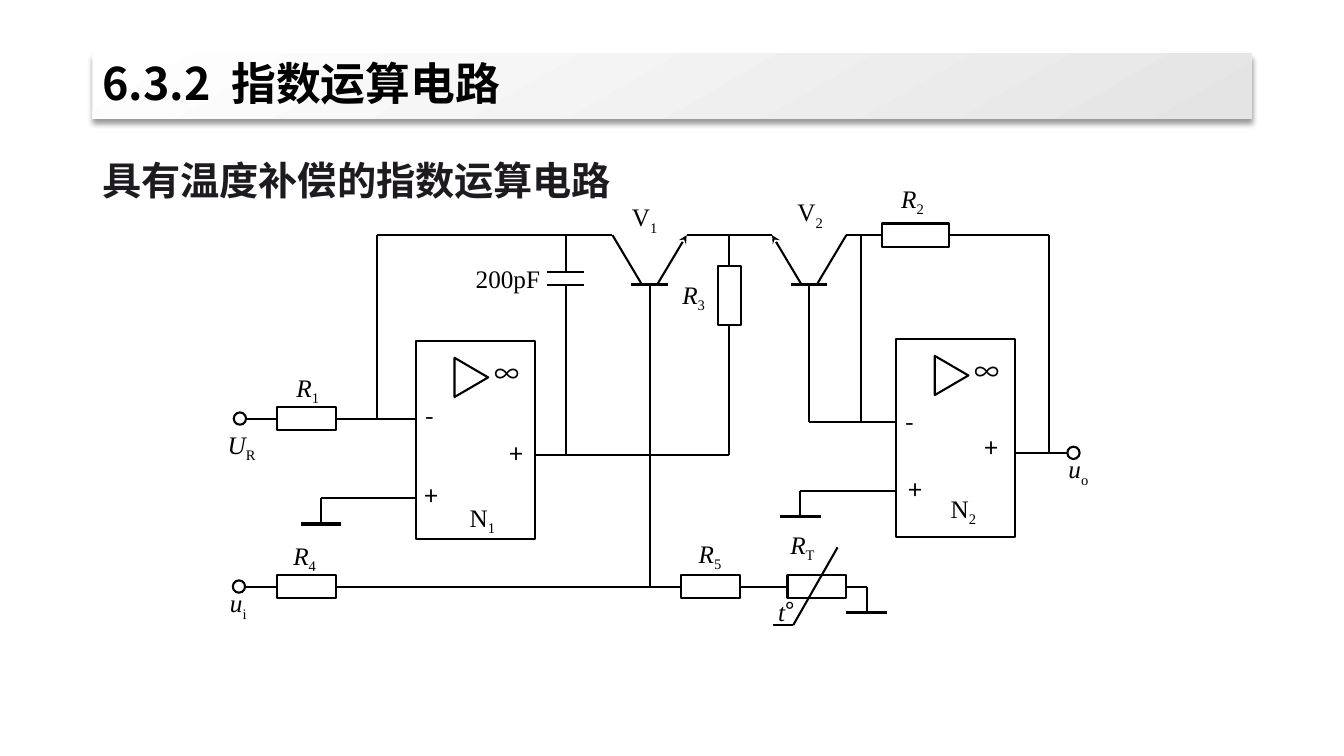
"""Build a slide showing a temperature-compensated exponential amplifier circuit."""
from dataclasses import dataclass
from typing import Optional

from lxml import etree
from pptx import Presentation
from pptx.dml.color import RGBColor
from pptx.enum.shapes import MSO_CONNECTOR, MSO_SHAPE
from pptx.enum.text import MSO_ANCHOR, PP_ALIGN
from pptx.oxml.ns import qn
from pptx.util import Pt

RECTANGLE, OVAL, TRIANGLE = MSO_SHAPE.RECTANGLE, MSO_SHAPE.OVAL, MSO_SHAPE.ISOSCELES_TRIANGLE
STRAIGHT = MSO_CONNECTOR.STRAIGHT
MIDDLE, LEFT, JUSTIFY = MSO_ANCHOR.MIDDLE, PP_ALIGN.LEFT, PP_ALIGN.JUSTIFY
TOP_SIDE, LEFT_SIDE, BOTTOM_SIDE, RIGHT_SIDE = range(4)
SANS, SERIF = "Noto Sans CJK SC", "Times New Roman"
COLORS = {"ink": "000000", "paper": "FFFFFF", "heading": "1D1B1F", "bar_end": "E4E4E4"}

LINE, GROUND_LINE = 1.5, 2.5
TOP_RAIL, INPUT_RAIL, SIGNAL_RAIL = 168, 299, 419
BASE_Y, MINUS_Y, OUTPUT_1_Y, OUTPUT_2_Y = 203.2, 301.5, 324.8, 323.5
PLATE_HALF, FOOT_HALF, LEG_HALF = 13, 5.5, 26.5
V1_X, V2_X, CAPACITOR_X, R3_X = 464, 578, 404, 521
AMP_WIDTH, AMP_HEIGHT = 85, 141.5
GROUND_HALF, GROUND_DROP = 14.4, 18.5


@dataclass
class Label:
    x: float
    y: float
    stem: str
    tail: str = ""
    width: float = 23
    height: float = 26
    italic: bool = False
    opaque: bool = False
    font: str = SERIF
    tail_font: Optional[str] = None


@dataclass
class Resistor:
    name: str
    x: float
    y: float
    width: float = 42
    height: float = 16.6


@dataclass
class Joint:
    name: str
    side: int


@dataclass
class Wire:
    x1: float
    y1: float
    x2: float
    y2: float
    start: Optional[Joint] = None
    end: Optional[Joint] = None
    weight: float = LINE
    arrow: bool = False


def symbol(x: float, y: float, stem: str, tail: str, width: float = 23, height: float = 26) -> Label:
    return Label(x, y, stem, tail, width, height, italic=True, opaque=True)


AMPS = [(297, 243.6), (640, 242.2)]
LABELS = [
    symbol(211.7, 265.7, "R", "1"), symbol(643.7, 131, "R", "2"),
    symbol(487.4, 199.4, "R", "3"), symbol(209.5, 385.9, "R", "4", 27.4, 31),
    symbol(499, 384.5, "R", "5"), symbol(564.5, 378, "R", "T"),
    symbol(164.2, 419.8, "u", "i"), symbol(162.7, 306.7, "U", "R", 33.8),
    Label(763.2, 324, "u", "o", italic=True),
    Label(339.8, 187.9, "200pF", width=59, height=31.7, opaque=True),
    Label(451.4, 144, "V", "1", 40, 29.5), Label(569.5, 140.4, "V", "2", 42.5, 29.5),
    Label(335.5, 358.6, "N", "1", 31.7, 34), Label(679, 352.1, "N", "2", 31.7, 34),
    Label(555.8, 426.2, "t", "°", 28, italic=True, tail_font=SANS),
]
LABELS += [Label(x, y, sign, font=SANS, width=width, height=30) for x, y, sign, width in [
    (303.8, 285.8, "-", 24), (303.1, 343.4, "+", 19.5), (364.3, 313.2, "+", 21.6),
    (646.6, 290.2, "-", 24), (648.7, 339.1, "+", 19.5), (703.4, 308.9, "+", 21.6)]]
LABELS += [Label(x + 56, y + 12.6, "∞", font=SANS) for x, y in AMPS]

RESISTORS = [
    Resistor("R1", 219, INPUT_RAIL), Resistor("R2", 654, TOP_RAIL, 48.2),
    Resistor("R3", R3_X, 211.3, 16.6, 42), Resistor("R4", 219, SIGNAL_RAIL),
    Resistor("R5", 507.7, SIGNAL_RAIL), Resistor("RT", 583.5, SIGNAL_RAIL),
]
TERMINALS = [(171.4, INPUT_RAIL), (170.7, SIGNAL_RAIL), (766.8, OUTPUT_2_Y)]
GROUNDS = [(229.3, 355.7), (571.7, 350.5), (619, SIGNAL_RAIL)]
WIRES = [
    Wire(176, INPUT_RAIL, 198, INPUT_RAIL, end=Joint("R1", LEFT_SIDE)),
    Wire(240, INPUT_RAIL, 297, INPUT_RAIL, start=Joint("R1", RIGHT_SIDE)),
    Wire(175.5, SIGNAL_RAIL, 198, SIGNAL_RAIL, end=Joint("R4", LEFT_SIDE)),
    Wire(240, SIGNAL_RAIL, 487, SIGNAL_RAIL, Joint("R4", RIGHT_SIDE), Joint("R5", LEFT_SIDE)),
    Wire(529, SIGNAL_RAIL, 562, SIGNAL_RAIL, Joint("R5", RIGHT_SIDE), Joint("RT", LEFT_SIDE)),
    Wire(604, SIGNAL_RAIL, 619, SIGNAL_RAIL, start=Joint("RT", RIGHT_SIDE)),
    Wire(269, INPUT_RAIL, 269, TOP_RAIL),
    Wire(269, TOP_RAIL, V1_X - LEG_HALF, TOP_RAIL),
    Wire(V1_X + LEG_HALF, TOP_RAIL, V2_X - LEG_HALF, TOP_RAIL),
    Wire(V2_X + LEG_HALF, TOP_RAIL, 630, TOP_RAIL, end=Joint("R2", LEFT_SIDE)),
    Wire(678, TOP_RAIL, 749.5, TOP_RAIL, start=Joint("R2", RIGHT_SIDE)),
    Wire(749.5, TOP_RAIL, 749.5, OUTPUT_2_Y),
    Wire(725, OUTPUT_2_Y, 762.3, OUTPUT_2_Y),
    Wire(R3_X, TOP_RAIL, R3_X, 190, end=Joint("R3", TOP_SIDE)),
    Wire(R3_X, 232, R3_X, OUTPUT_1_Y, start=Joint("R3", BOTTOM_SIDE)),
    Wire(R3_X, OUTPUT_1_Y, 382, OUTPUT_1_Y),
    Wire(CAPACITOR_X, TOP_RAIL, CAPACITOR_X, 194.4),
    Wire(CAPACITOR_X, 203.8, CAPACITOR_X, OUTPUT_1_Y),
    Wire(V1_X, BASE_Y, V1_X, SIGNAL_RAIL),
    Wire(V2_X, BASE_Y, V2_X, MINUS_Y),
    Wire(V2_X, MINUS_Y, 640, MINUS_Y),
    Wire(615, TOP_RAIL, 615, MINUS_Y),
    Wire(297, 355.7, 229.3, 355.7),
    Wire(640, 350.5, 571.7, 350.5),
    Wire(598.3, 391, 566.6, 446.5),
    Wire(552.2, 446.5, 566.6, 446.5),
]
WIRES += [Wire(CAPACITOR_X - PLATE_HALF, y, CAPACITOR_X + PLATE_HALF, y) for y in (194.4, 203.8)]
for ground_x, ground_y in GROUNDS:
    bar_y = ground_y + GROUND_DROP
    WIRES += [Wire(ground_x, ground_y, ground_x, bar_y),
              Wire(ground_x - GROUND_HALF, bar_y, ground_x + GROUND_HALF, bar_y, weight=GROUND_LINE)]
for base_x, emitter in [(V1_X, 1), (V2_X, -1)]:
    WIRES += [Wire(base_x - PLATE_HALF, BASE_Y, base_x + PLATE_HALF, BASE_Y)]
    WIRES += [Wire(base_x + side * FOOT_HALF, BASE_Y, base_x + side * LEG_HALF, TOP_RAIL,
                   arrow=side == emitter) for side in (-1, 1)]


def rgb(name: str) -> RGBColor:
    return RGBColor.from_string(COLORS[name])


def style_paragraph(para, font: str, size: float, color: str, bold: bool = False) -> None:
    para.font.size, para.font.bold, para.font.name = Pt(size), bold, font
    para.font.color.rgb = rgb(color)
    defaults = para._p.get_or_add_pPr().get_or_add_defRPr()
    etree.SubElement(defaults, qn("a:ea"), typeface=font)


def draw_box(page, kind, x: float, y: float, width: float, height: float, fill: Optional[str] = "paper"):
    box = page.shapes.add_shape(kind, Pt(x), Pt(y), Pt(width), Pt(height))
    box.shadow.inherit = False
    if fill:
        box.fill.solid()
        box.fill.fore_color.rgb = rgb(fill)
    else:
        box.fill.background()
    box.line.color.rgb = rgb("ink")
    box.line.width = Pt(LINE)
    return box


def draw_label(page, label: Label) -> None:
    box = page.shapes.add_textbox(Pt(label.x), Pt(label.y), Pt(label.width), Pt(label.height))
    if label.opaque:
        box.fill.solid()
        box.fill.fore_color.rgb = rgb("paper")
    frame = box.text_frame
    frame.word_wrap = True
    frame.margin_left = frame.margin_top = frame.margin_right = frame.margin_bottom = 0
    para = frame.paragraphs[0]
    para.alignment = JUSTIFY
    style_paragraph(para, label.font, 18, "ink")
    stem = para.add_run()
    stem.text, stem.font.italic = label.stem, label.italic
    if label.tail:
        tail = para.add_run()
        tail.text, tail.font.italic = label.tail, False
        if label.tail_font:
            tail.font.name = label.tail_font
            etree.SubElement(tail._r.get_or_add_rPr(), qn("a:ea"), typeface=label.tail_font)
        else:
            tail._r.get_or_add_rPr().set("baseline", "-25000")


def draw_wire(page, wire: Wire, parts: dict) -> None:
    line = page.shapes.add_connector(STRAIGHT, Pt(wire.x1), Pt(wire.y1), Pt(wire.x2), Pt(wire.y2))
    line.line.color.rgb = rgb("ink")
    line.line.width = Pt(wire.weight)
    properties = line._element.spPr
    if wire.arrow:
        etree.SubElement(properties.find(qn("a:ln")), qn("a:tailEnd"), type="stealth")
    etree.SubElement(properties, qn("a:effectLst"))
    if wire.start:
        line.begin_connect(parts[wire.start.name], wire.start.side)
    if wire.end:
        line.end_connect(parts[wire.end.name], wire.end.side)


def draw_headings(page) -> None:
    body = page.shapes.add_textbox(Pt(66), Pt(91.5), Pt(828), Pt(394.5))
    body.text_frame.word_wrap = True
    para = body.text_frame.paragraphs[0]
    para.line_spacing = 1.5
    style_paragraph(para, SANS, 28, "heading", bold=True)
    para.add_run().text = "具有温度补偿的指数运算电路"

    bar = draw_box(page, RECTANGLE, 66, 38.2, 828, 46.8)
    bar.line.fill.background()
    bar.fill.gradient()
    bar.fill.gradient_angle = 300
    for stop, color in zip(bar.fill.gradient_stops, ("paper", "bar_end")):
        stop.color.rgb = rgb(color)
    shadow = etree.SubElement(bar._element.spPr.find(qn("a:effectLst")), qn("a:outerShdw"),
                              blurRad=str(Pt(4)), dist=str(Pt(3)), dir="5400000", rotWithShape="0")
    tint = etree.SubElement(shadow, qn("a:srgbClr"), val=COLORS["ink"])
    etree.SubElement(tint, qn("a:alpha"), val="40000")
    bar.text_frame.vertical_anchor = MIDDLE
    para = bar.text_frame.paragraphs[0]
    para.alignment, para.line_spacing = LEFT, 0.9
    style_paragraph(para, SANS, 32, "ink", bold=True)
    for text, spacing in [("6.3.2", 0), (" ", 730), ("指数运算电路", 0)]:
        span = para.add_run()
        span.text = text
        span._r.get_or_add_rPr().set("spc", str(spacing))


def main() -> None:
    deck = Presentation()
    deck.slide_width, deck.slide_height = Pt(960), Pt(540)
    page = deck.slides.add_slide(deck.slide_layouts[6])
    draw_headings(page)
    for label in LABELS:
        draw_label(page, label)
    for x, y in AMPS:
        draw_box(page, RECTANGLE, x, y, AMP_WIDTH, AMP_HEIGHT, fill=None)
        draw_box(page, TRIANGLE, x + 25.7, y + 14, 28, 24).rotation = 90
    parts = {part.name: draw_box(page, RECTANGLE, part.x - part.width / 2, part.y - part.height / 2,
                                 part.width, part.height) for part in RESISTORS}
    for wire in WIRES:
        draw_wire(page, wire, parts)
    for x, y in TERMINALS:
        draw_box(page, OVAL, x - 4.4, y - 4.4, 8.8, 8.8)
    deck.save("out.pptx")


if __name__ == "__main__":
    main()
